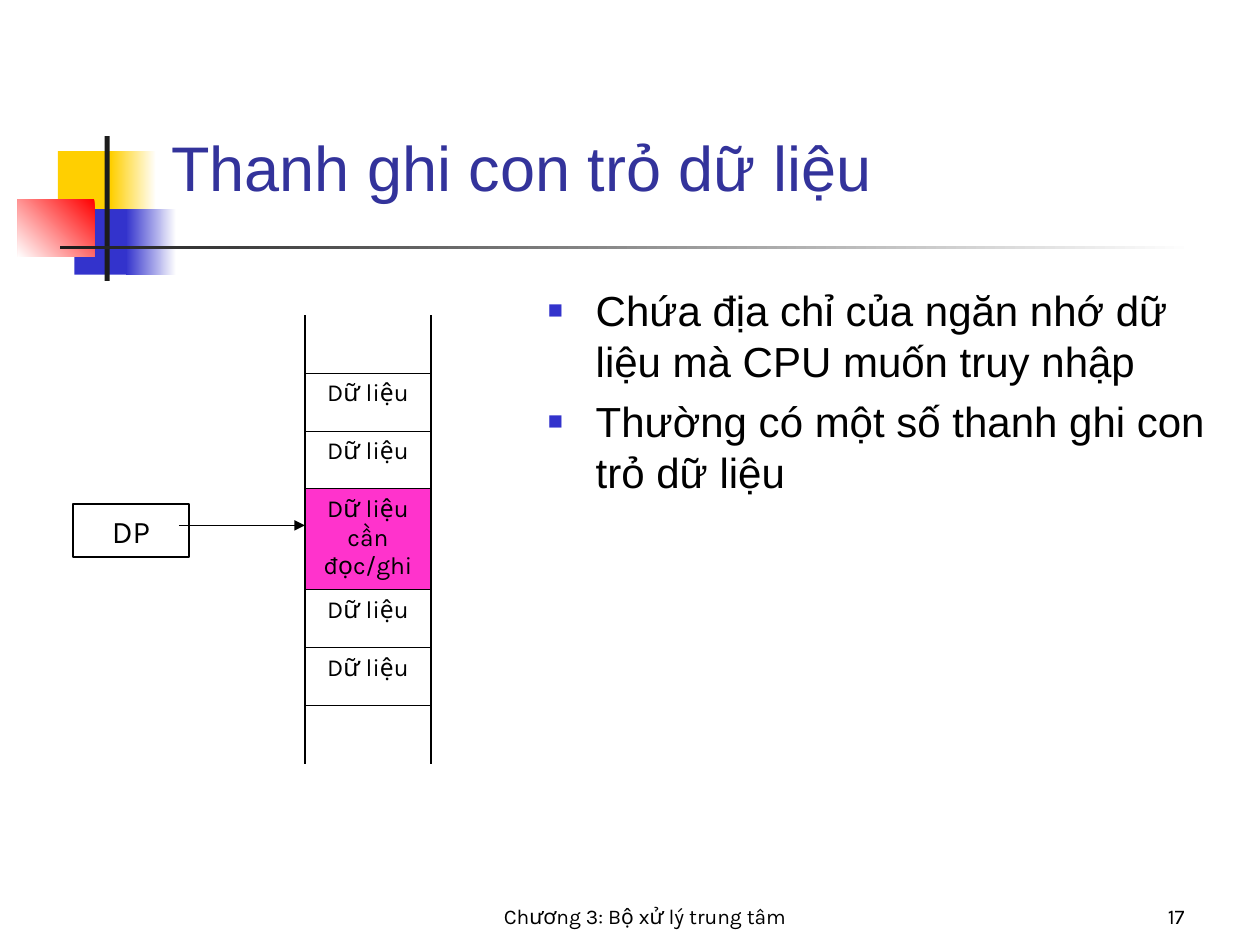
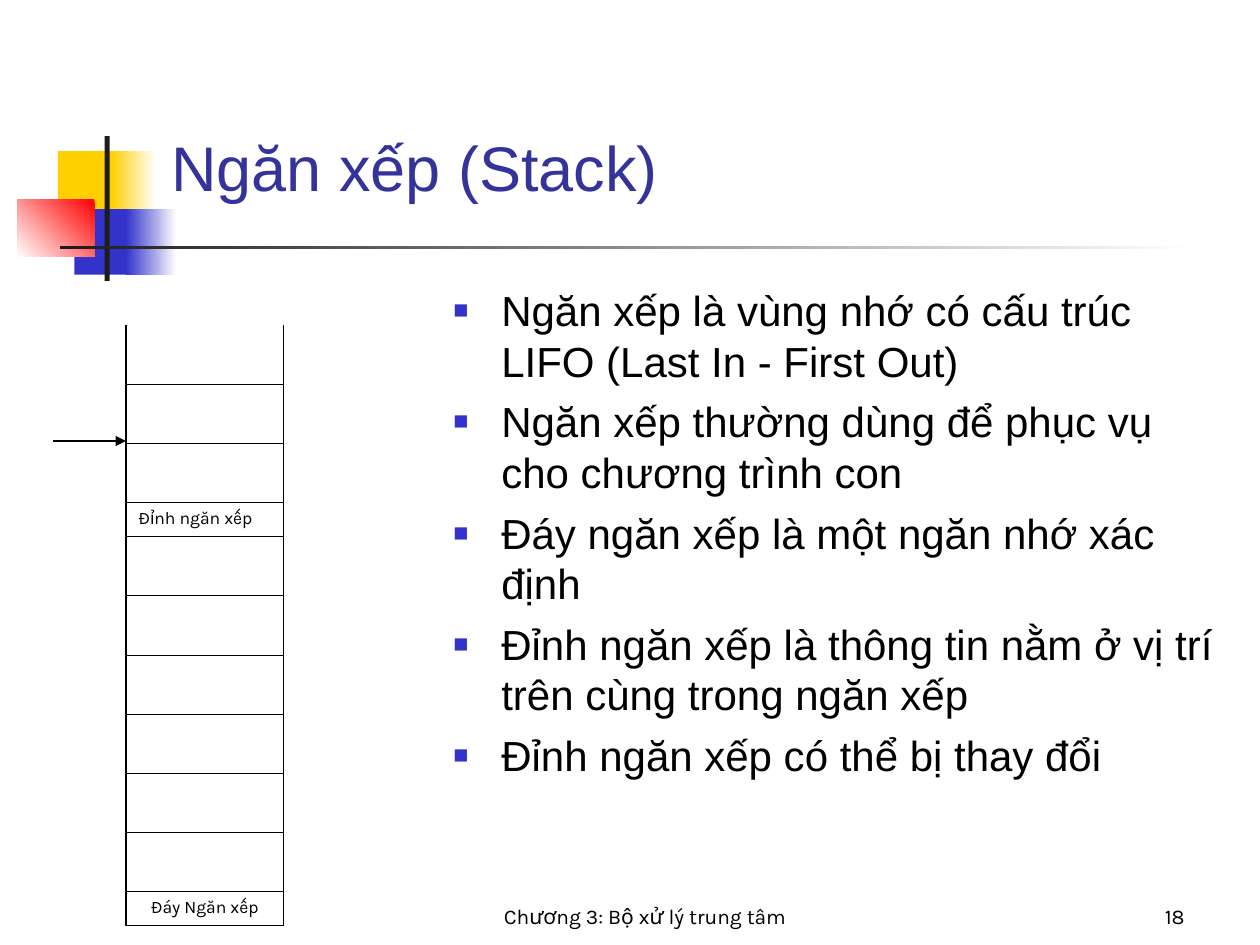
from dataclasses import dataclass

from lxml.etree import SubElement
from pptx import Presentation
from pptx.dml.color import RGBColor
from pptx.enum.shapes import MSO_CONNECTOR, MSO_SHAPE
from pptx.enum.text import MSO_ANCHOR, PP_ALIGN
from pptx.oxml import parse_xml
from pptx.oxml.ns import nsdecls, qn
from pptx.util import Inches, Pt


@dataclass(frozen=True)
class Theme:
    white: str = "FFFFFF"
    black: str = "000000"
    title: str = "33339B"
    blue: str = "3333CC"
    yellow: str = "FFCF01"
    red: str = "FF0000"
    bar: str = "1C1C1C"
    highlight: str = "FF33CC"
    heading_font: str = "Arial"
    label_font: str = "Karla"
    title_size: float = 36
    body_size: float = 24
    register_size: float = 18
    data_size: float = 14
    footer_size: float = 12
    stack_size: float = 10
    thin: float = 0.45
    line: float = 0.75
    outer: float = 1.08


T = Theme()
FOOTER = "Chương 3: Bộ xử lý trung tâm"


def rgb(value):
    return RGBColor.from_string(value)


def inches(*values):
    return [Inches(v) for v in values]


def add_run(p, text, size, font=T.label_font, color=T.black):
    r = p.add_run()
    r.text = text
    r.font.size = Pt(size)
    r.font.name = font
    r.font.color.rgb = rgb(color)


def add_text(s, box, text, size, font=T.label_font, color=T.black, align=PP_ALIGN.LEFT):
    """Add a bottom-anchored, single-paragraph text box."""
    tf = s.shapes.add_textbox(*inches(*box)).text_frame
    tf.word_wrap = True
    tf.vertical_anchor = MSO_ANCHOR.BOTTOM
    p = tf.paragraphs[0]
    p.alignment = align
    add_run(p, text, size, font, color)


def add_rect(s, box, *colors, angle=180):
    """Fill with one colour, or with a gradient between two."""
    sp = s.shapes.add_shape(MSO_SHAPE.RECTANGLE, *inches(*box))
    sp.shadow.inherit = False
    sp.line.fill.background()
    if len(colors) == 1:
        sp.fill.solid()
        sp.fill.fore_color.rgb = rgb(colors[0])
    else:
        sp.fill.gradient()
        sp.fill.gradient_angle = angle
        for stop, color in zip(sp.fill.gradient_stops, colors):
            stop.color.rgb = rgb(color)
    return sp


def add_emblem(s):
    add_rect(s, (0.46, 1.2, 0.48, 0.47), T.yellow)
    add_rect(s, (0.88, 1.2, 0.36, 0.47), T.white, T.yellow)
    add_rect(s, (0.59, 1.66, 0.46, 0.52), T.blue)
    add_rect(s, (1, 1.66, 0.4, 0.52), T.white, T.blue)
    add_rect(s, (0.14, 1.58, 0.61, 0.46), T.red, T.white, angle=225)
    add_rect(s, (0.83, 1.08, 0.04, 1.15), T.bar)
    add_rect(s, (0.48, 1.95, 9, 0.03), T.white, T.bar)


def add_slide(prs, title, number):
    s = prs.slides.add_slide(prs.slide_layouts[6])
    add_emblem(s)
    add_text(s, (1.26, 1, 8.52, 0.67), title, T.title_size, T.heading_font, T.title)
    add_text(s, (2.08, 6.92, 6.08, 0.5), FOOTER, T.footer_size, align=PP_ALIGN.CENTER)
    add_text(s, (8.33, 6.92, 1.17, 0.5), str(number), T.footer_size, align=PP_ALIGN.RIGHT)
    return s


def add_bullets(s, left, items):
    tf = s.shapes.add_textbox(*inches(left, 2.21, 9.79 - left, 4.5)).text_frame
    tf.word_wrap = True
    for i, item in enumerate(items):
        p = tf.paragraphs[0] if i == 0 else tf.add_paragraph()
        p.space_before = Pt(6)
        pPr = p._p.get_or_add_pPr()
        pPr.set("marL", str(Inches(0.38)))
        pPr.set("indent", str(-Inches(0.38)))
        color = SubElement(pPr, qn("a:buClr"))
        SubElement(color, qn("a:srgbClr")).set("val", T.blue)
        SubElement(pPr, qn("a:buSzPct")).set("val", "60000")
        SubElement(pPr, qn("a:buFont")).set("typeface", T.heading_font)
        SubElement(pPr, qn("a:buChar")).set("char", "■")
        add_run(p, item, T.body_size, T.heading_font)


def set_borders(cell, **widths):
    """Set the L, R, T and B borders in points; 0 hides a border."""
    tcPr = cell._tc.get_or_add_tcPr()
    for i, side in enumerate("LRTB"):
        width = widths[side]
        paint = f'<a:solidFill><a:srgbClr val="{T.black}"/></a:solidFill>' if width else "<a:noFill/>"
        tcPr.insert(i, parse_xml(f'<a:ln{side} {nsdecls("a")} w="{Pt(width)}">{paint}</a:ln{side}>'))


def add_memory(s, left, top, width, cells, size, bottom=0):
    """Draw a memory column, open at the top, from (text, height, fill, align) cells."""
    heights = [height for _, height, _, _ in cells]
    frame = s.shapes.add_table(len(cells), 1, *inches(left, top, width, sum(heights)))
    table = frame.table
    table.first_row = table.horz_banding = False
    last = len(cells) - 1
    for i, (text, height, fill, align) in enumerate(cells):
        table.rows[i].height = Inches(height)
        cell = table.cell(i, 0)
        if fill:
            cell.fill.solid()
            cell.fill.fore_color.rgb = rgb(fill)
        else:
            cell.fill.background()
        set_borders(cell, L=T.outer, R=T.outer, T=T.thin if i else 0,
                    B=bottom if i == last else T.thin)
        if text:
            p = cell.text_frame.paragraphs[0]
            p.alignment = align
            p.space_before = Pt(size / 4)
            add_run(p, text, size)


def add_arrow(s, x1, x2, y):
    line = s.shapes.add_connector(MSO_CONNECTOR.STRAIGHT, *inches(x1, y, x2, y))
    line.line.color.rgb = rgb(T.black)
    line.line.width = Pt(T.line)
    SubElement(line.line._get_or_add_ln(), qn("a:tailEnd")).set("type", "triangle")
    SubElement(line._element.spPr, qn("a:effectLst"))


def add_register(s, box, name):
    sp = add_rect(s, box, T.white)
    sp.line.color.rgb = rgb(T.black)
    sp.line.width = Pt(T.line)
    tf = sp.text_frame
    tf.word_wrap = False
    tf.vertical_anchor = MSO_ANCHOR.MIDDLE
    p = tf.paragraphs[0]
    p.alignment = PP_ALIGN.CENTER
    add_run(p, name, T.register_size)


def data_pointer_slide(prs):
    s = add_slide(prs, "Thanh ghi con trỏ dữ liệu", 17)
    add_bullets(s, 4.25, [
        "Chứa địa chỉ của ngăn nhớ dữ liệu mà CPU muốn truy nhập",
        "Thường có một số thanh ghi con trỏ dữ liệu",
    ])
    add_register(s, (0.58, 4, 0.92, 0.42), "DP")
    empty = ("", 0.46, None, None)
    data = ("Dữ liệu", 0.46, None, PP_ALIGN.CENTER)
    target = ("Dữ liệu cần đọc/ghi", 0.8, T.highlight, PP_ALIGN.CENTER)
    add_memory(s, 2.42, 2.5, 1, [empty, data, data, target, data, data, empty], T.data_size)
    add_arrow(s, 1.42, 2.42, 4.17)


def stack_slide(prs):
    s = add_slide(prs, "Ngăn xếp (Stack)", 18)
    add_bullets(s, 3.5, [
        "Ngăn xếp là vùng nhớ có cấu trúc LIFO (Last In - First Out)",
        "Ngăn xếp thường dùng để phục vụ cho chương trình con",
        "Đáy ngăn xếp là một ngăn nhớ xác định",
        "Đỉnh ngăn xếp là thông tin nằm ở vị trí trên cùng trong ngăn xếp",
        "Đỉnh ngăn xếp có thể bị thay đổi",
    ])
    empty = ("", 0.47, None, None)
    stack_top = ("Đỉnh ngăn xếp", 0.27, None, PP_ALIGN.LEFT)
    stack_bottom = ("Đáy Ngăn xếp", 0.27, None, PP_ALIGN.CENTER)
    cells = [empty] * 3 + [stack_top] + [empty] * 6 + [stack_bottom]
    add_memory(s, 1, 2.58, 1.25, cells, T.stack_size, bottom=T.outer)
    add_arrow(s, 0.42, 1, 3.5)


def main():
    prs = Presentation()
    prs.slide_width, prs.slide_height = inches(10, 7.5)
    data_pointer_slide(prs)
    stack_slide(prs)
    prs.save("out.pptx")


if __name__ == "__main__":
    main()
